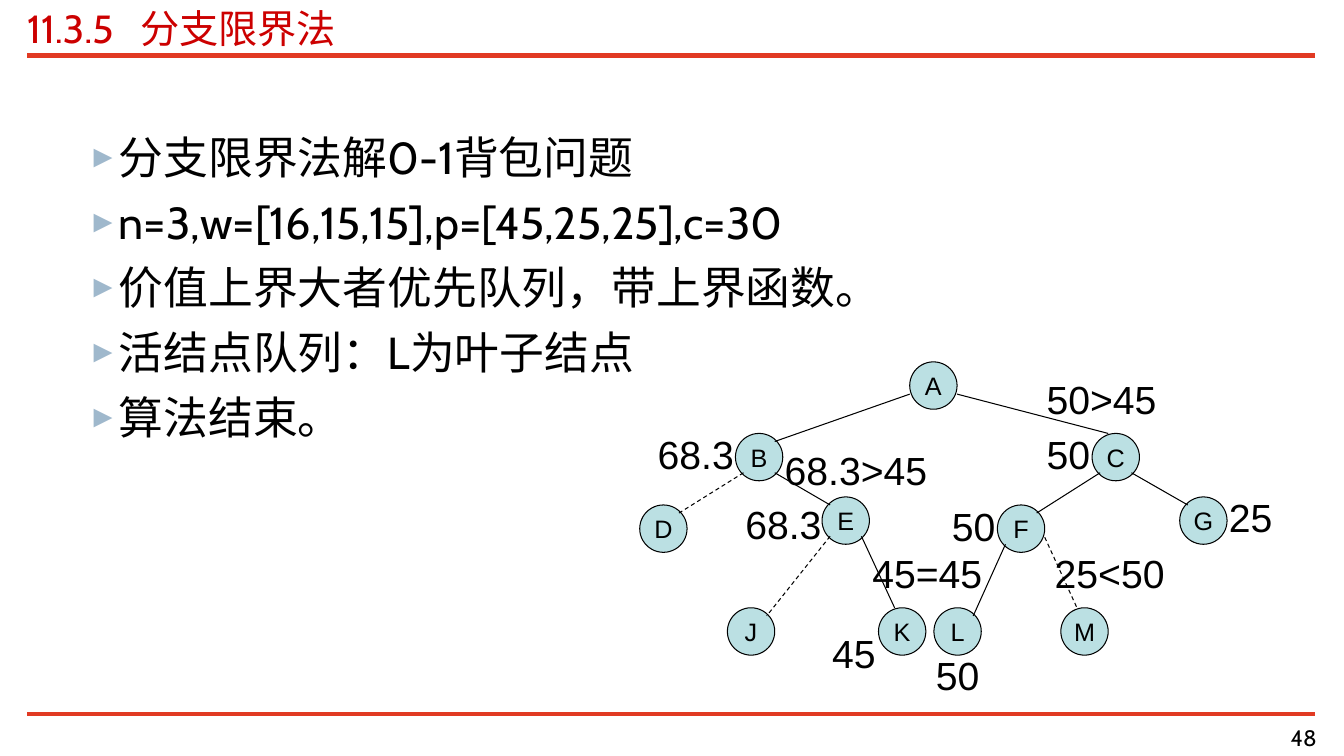
from pptx import Presentation
from pptx.dml.color import RGBColor
from pptx.enum.dml import MSO_LINE
from pptx.enum.shapes import MSO_CONNECTOR, MSO_SHAPE
from pptx.enum.text import MSO_ANCHOR, MSO_AUTO_SIZE, PP_ALIGN
from pptx.oxml.ns import qn
from pptx.util import Inches, Pt
from lxml import etree

LINE, OVAL = MSO_CONNECTOR.STRAIGHT, MSO_SHAPE.OVAL
TOP, MID = MSO_ANCHOR.TOP, MSO_ANCHOR.MIDDLE
LEFT, MIDDLE, RIGHT = PP_ALIGN.LEFT, PP_ALIGN.CENTER, PP_ALIGN.RIGHT
FIXED, DASH = MSO_AUTO_SIZE.NONE, MSO_LINE.DASH

BLACK = RGBColor(0x00, 0x00, 0x00)
RED = RGBColor(0xCC, 0x00, 0x00)
BAR = RGBColor(0xE1, 0x3A, 0x23)
TEAL = RGBColor(0xBB, 0xE0, 0xE3)

# Points of a node where edges leave and arrive
SIZE = 0.47
WEST, EAST = (0, 0.32), (SIZE, 0.32)
LOW_L, LOW_R = (0.08, 0.39), (0.39, 0.39)
UP_L, UP_R, CROWN = (0.08, 0.08), (0.39, 0.08), (0.16, 0)

TITLE = "11.3.5\t分支限界法"
POINTS = [
    "分支限界法解0-1背包问题",
    "n=3,w=[16,15,15],p=[45,25,25],c=30",
    "价值上界大者优先队列，带上界函数。",
    "活结点队列：L为叶子结点",
    "算法结束。",
]
NODES = {
    "A": (9.03, 3.59), "B": (7.3, 4.3), "C": (10.84, 4.3),
    "D": (6.35, 5.01), "E": (8.16, 4.93), "F": (9.9, 5.01),
    "G": (11.71, 4.93), "J": (7.22, 6.03), "K": (8.72, 6.03),
    "L": (9.27, 6.03), "M": (10.53, 6.03),
}
EDGES = [
    ("A", WEST, "B", UP_R, None), ("A", EAST, "C", CROWN, None),
    ("B", LOW_L, "D", UP_R, DASH), ("B", LOW_R, "E", UP_L, None),
    ("E", LOW_L, "J", UP_R, DASH), ("E", LOW_R, "K", CROWN, None),
    ("C", LOW_L, "F", UP_R, None), ("C", LOW_R, "G", UP_L, None),
    ("F", LOW_L, "L", UP_R, None), ("F", EAST, "M", CROWN, DASH),
]
LABELS = [
    ("45", 8.16, 6.19, 0.79), ("50", 9.19, 6.41, 0.71),
    ("68.3", 6.43, 4.22, 1.1), ("68.3", 7.3, 4.91, 1.1),
    ("50", 9.35, 4.93, 0.71), ("50", 10.29, 4.22, 0.71),
    ("68.3>45", 7.69, 4.38, 1.65), ("50>45", 10.29, 3.67, 1.5),
    ("45=45", 8.56, 5.4, 1.5), ("25<50", 10.37, 5.4, 1.5),
    ("25", 12.1, 4.84, 0.71),
]


class Board:
    head, plain = "Cabin", "Arial"

    def __init__(self, deck):
        self.slide = deck.slides.add_slide(deck.slide_layouts[5])
        self.shapes = self.slide.shapes

    def frame(self, shape, pad=(0.1, 0.05), anchor=TOP, wrap=True):
        frame = shape.text_frame
        frame.auto_size = FIXED
        frame.word_wrap = wrap
        frame.vertical_anchor = anchor
        frame.margin_left = frame.margin_right = Inches(pad[0])
        frame.margin_top = frame.margin_bottom = Inches(pad[1])
        return frame

    def put(self, para, text, size, font, color=BLACK, align=LEFT):
        para.alignment = align
        run = para.add_run()
        run.text = text
        run.font.size, run.font.name = Pt(size), font
        run.font.color.rgb = color

    def box(self, x, y, w, h):
        return self.shapes.add_textbox(Inches(x), Inches(y), Inches(w), Inches(h))

    def title(self, text):
        shape = self.shapes.title
        shape.left, shape.top = Inches(0.27), Inches(0.04)
        shape.width, shape.height = Inches(12.78), Inches(0.47)
        para = self.frame(shape, (0, 0)).paragraphs[0]
        tabs = etree.SubElement(para._p.get_or_add_pPr(), qn("a:tabLst"))
        etree.SubElement(tabs, qn("a:tab"), pos=str(Inches(1.12)), algn="l")
        self.put(para, text, 28, self.head, RED)

    def line(self, start, end, color=BLACK, width=0.75, dash=None):
        line = self.shapes.add_connector(LINE, *map(Inches, (*start, *end)))
        line.line.color.rgb, line.line.width = color, Pt(width)
        if dash:
            line.line.dash_style = dash
        etree.SubElement(line._element.spPr, qn("a:effectLst"))

    def bullets(self, items, x, y, w, h):
        frame = self.frame(self.box(x, y, w, h))
        for i, item in enumerate(items):
            para = frame.add_paragraph() if i else frame.paragraphs[0]
            para.level = 1
            props = para._p.get_or_add_pPr()
            props.set("marL", str(Inches(0.81)))
            props.set("indent", str(Inches(-0.31)))
            tint = etree.SubElement(props, qn("a:buClr"))
            etree.SubElement(tint, qn("a:srgbClr"), val="9FB8CC")
            etree.SubElement(props, qn("a:buSzPct"), val="70000")
            etree.SubElement(props, qn("a:buFont"), typeface=self.plain)
            etree.SubElement(props, qn("a:buChar"), char="►")
            para.space_before = Pt(8 if i else 0)
            self.put(para, item, 32, self.head)

    def node(self, name, x, y):
        oval = self.shapes.add_shape(OVAL, *map(Inches, (x, y, SIZE, SIZE)))
        oval.shadow.inherit = False
        oval.fill.solid()
        oval.fill.fore_color.rgb = TEAL
        oval.line.color.rgb, oval.line.width = BLACK, Pt(0.75)
        frame = self.frame(oval, anchor=MID, wrap=False)
        self.put(frame.paragraphs[0], name, 18, self.plain, align=MIDDLE)

    def edge(self, top, out, low, into, dash):
        start = [a + b for a, b in zip(NODES[top], out)]
        end = [a + b for a, b in zip(NODES[low], into)]
        self.line(start, end, dash=dash)

    def label(self, text, x, y, w):
        frame = self.frame(self.box(x, y, w, 0.57))
        self.put(frame.paragraphs[0], text, 28, self.plain)

    def number(self, text):
        frame = self.frame(self.box(10.39, 7.16, 2.68, 0.31), (0, 0), MID)
        self.put(frame.paragraphs[0], text, 16, self.head, align=RIGHT)


def main():
    deck = Presentation()
    deck.slide_width, deck.slide_height = Inches(13.34), Inches(7.5)
    board = Board(deck)

    # Rules, title and points
    for y, width in ((0.55, 4), (7.08, 3)):
        board.line((0.27, y), (13.05, y), BAR, width)
    board.title(TITLE)
    board.bullets(POINTS, 0.27, 1.24, 12.78, 5.81)

    # Search tree
    for name, spot in NODES.items():
        board.node(name, *spot)
    for edge in EDGES:
        board.edge(*edge)
    for label in LABELS:
        board.label(*label)

    # Page number
    board.number("48")
    deck.save("out.pptx")


if __name__ == "__main__":
    main()
